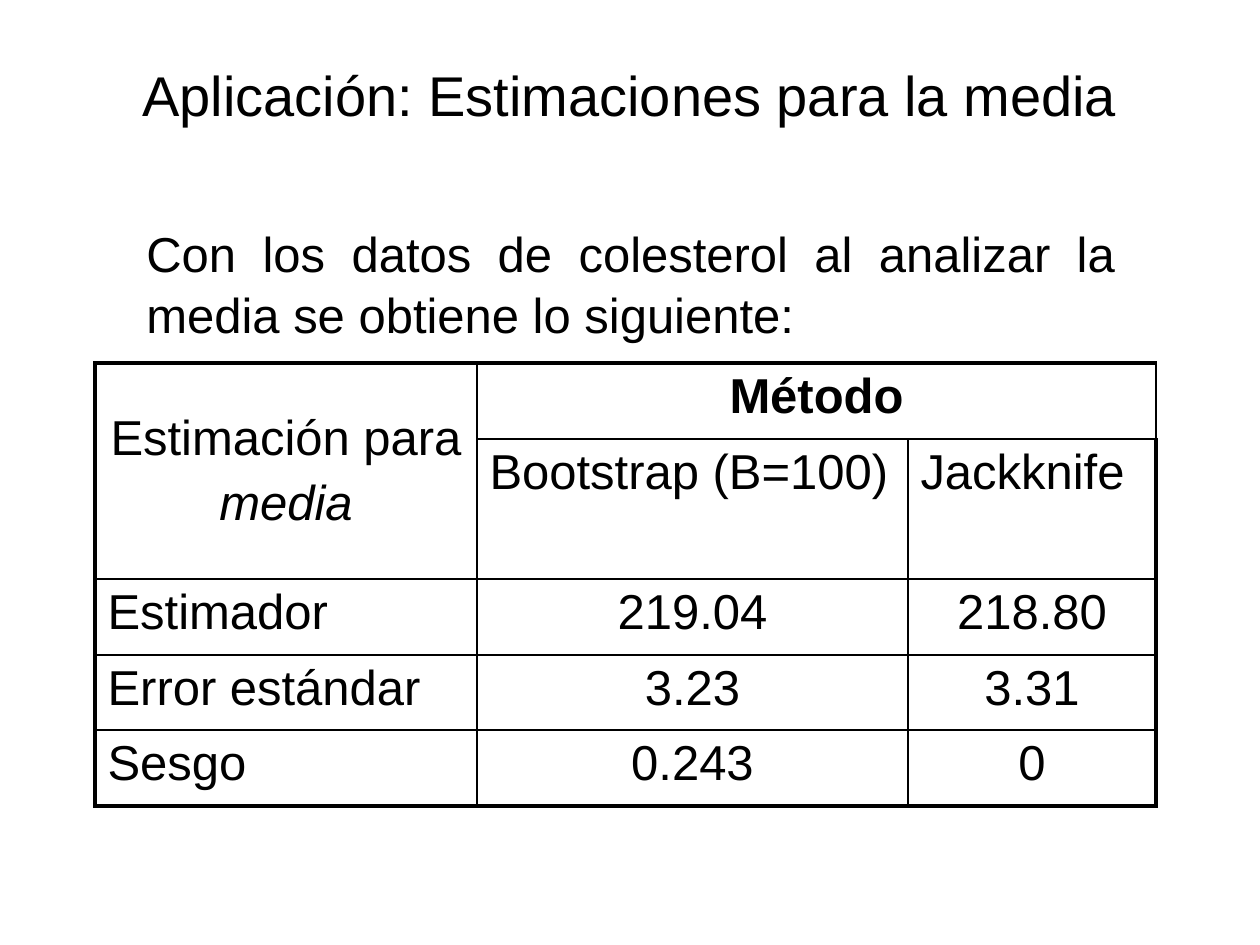
from lxml.etree import SubElement
from pptx import Presentation
from pptx.dml.color import RGBColor
from pptx.enum.text import MSO_ANCHOR, PP_ALIGN
from pptx.oxml.ns import qn
from pptx.util import Pt

SCALE = 914400 // 126
THIN, THICK = 1, 2.25
LEFT, CENTER, JUSTIFY = PP_ALIGN.LEFT, PP_ALIGN.CENTER, PP_ALIGN.JUSTIFY
TOP, MIDDLE = MSO_ANCHOR.TOP, MSO_ANCHOR.MIDDLE


def px(pixels):
    """Turn picture pixels into EMU."""
    return pixels * SCALE


def color(value):
    """Turn a hex string into a colour."""
    return RGBColor.from_string(value)


def assign(target, values):
    """Set attributes from a dict of format values."""
    for name, value in values.items():
        setattr(target, name, value)


class SlideBuilder:
    """Holds the style and the current page."""

    font = "Arial"
    ink = "000000"

    def __init__(self, page):
        """Keep the page to draw on."""
        self.page = page

    def fill_text(self, frame, lines, align=LEFT, size=28, spacing=None, **style):
        """Add one paragraph per line; a line is text plus its own style."""
        for index, (text, extra) in enumerate(lines):
            para = frame.add_paragraph() if index else frame.paragraphs[0]
            assign(para, {"alignment": align, "space_before": Pt(size * 0.2),
                          "line_spacing": spacing})
            span = para.add_run()
            span.text = text
            assign(span.font, {"name": self.font, "size": Pt(size), **style, **extra})
            span.font.color.rgb = color(self.ink)

    def text(self, area, text, anchor=TOP, **style):
        """Add a wrapped text box."""
        box = self.page.shapes.add_textbox(*map(px, area))
        assign(box.text_frame, {"word_wrap": True, "vertical_anchor": anchor})
        self.fill_text(box.text_frame, [(text, {})], **style)

    def border(self, cell, widths):
        """Draw the four cell borders: left, right, top, bottom."""
        properties = cell._tc.get_or_add_tcPr()
        for index, (side, width) in enumerate(zip("LRTB", widths)):
            line = SubElement(properties, qn(f"a:ln{side}"), w=str(int(Pt(width))))
            fill = SubElement(line, qn("a:solidFill"))
            SubElement(fill, qn("a:srgbClr"), val=self.ink)
            properties.remove(line)
            properties.insert(index, line)

    def table(self, left, top, widths, heights):
        """Add an unfilled table with a thick outline and thin inner lines."""
        rows, columns = len(heights), len(widths)
        area = map(px, (left, top, sum(widths), sum(heights)))
        table = self.page.shapes.add_table(rows, columns, *area).table
        assign(table, {"first_row": False, "horz_banding": False})
        for column, width in zip(table.columns, widths):
            column.width = px(width)
        for row, height in zip(table.rows, heights):
            row.height = px(height)
        for r in range(rows):
            for c in range(columns):
                cell = table.cell(r, c)
                cell.fill.background()
                edges = (c == 0, c == columns - 1, r == 0, r == rows - 1)
                self.border(cell, [THICK if edge else THIN for edge in edges])
        return table


deck = Presentation()
assign(deck, {"slide_width": px(1260), "slide_height": px(945)})
builder = SlideBuilder(deck.slides.add_slide(deck.slide_layouts[6]))

builder.text((63, 38, 1134, 113), "Aplicación: Estimaciones para la media",
             anchor=MIDDLE, align=CENTER, size=32)
builder.text((134, 214, 993, 165),
             "Con los datos de colesterol al analizar la media se obtiene lo siguiente:",
             align=JUSTIFY, spacing=1.05)

results = builder.table(95, 363, (382, 431, 248), (76, 132, 76, 75, 76))
results.cell(0, 0).merge(results.cell(1, 0))
results.cell(0, 1).merge(results.cell(0, 2))

corner = results.cell(0, 0)
corner.vertical_anchor = MIDDLE
builder.fill_text(corner.text_frame,
                  [("Estimación para", {}), ("media", {"italic": True})], align=CENTER)
builder.fill_text(results.cell(0, 1).text_frame, [("Método", {})],
                  align=CENTER, bold=True)
for c, method in enumerate(("Bootstrap (B=100)", "Jackknife"), start=1):
    builder.fill_text(results.cell(1, c).text_frame, [(method, {})])

estimates = (
    ("Estimador", "219.04", "218.80"),
    ("Error estándar", "3.23", "3.31"),
    ("Sesgo", "0.243", "0"),
)
for r, values in enumerate(estimates, start=2):
    for c, value in enumerate(values):
        builder.fill_text(results.cell(r, c).text_frame, [(value, {})],
                          align=CENTER if c else LEFT)

deck.save("out.pptx")
